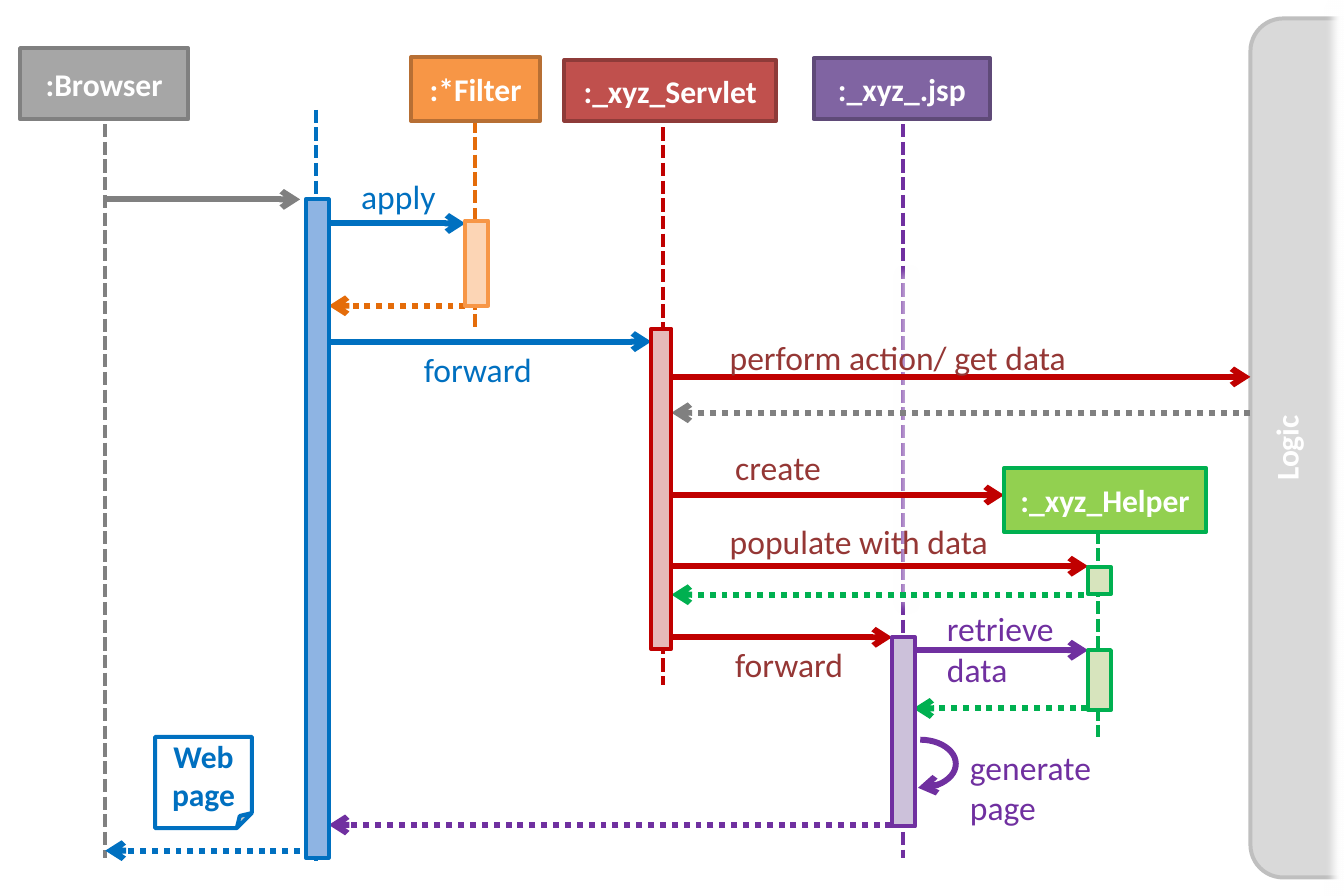
"""Build a sequence diagram slide of a web request passing through filter, servlet and JSP."""
import pptx
import pptx.util
import pptx.dml.color
import pptx.enum.dml
import pptx.enum.shapes
import pptx.enum.text
import pptx.oxml
import pptx.oxml.ns

Cm, Pt = pptx.util.Cm, pptx.util.Pt
RGB = pptx.dml.color.RGBColor.from_string
SHAPE = pptx.enum.shapes.MSO_SHAPE
DASH = pptx.enum.dml.MSO_LINE
ALIGN = pptx.enum.text.PP_ALIGN
ANCHOR = pptx.enum.text.MSO_ANCHOR
qn = pptx.oxml.ns.qn
NS = pptx.oxml.ns.nsdecls("a")

C = {
    "white": "FFFFFF", "grey": "808080", "silver": "A6A6A6", "logic": "D9D9D9", "logic_edge": "BFBFBF",
    "blue": "0070C0", "blue_bar": "8EB4E3",
    "orange": "E46C0A", "orange_head": "F79646", "orange_edge": "B76F34", "orange_bar": "FCD5B5",
    "red": "C00000", "red_head": "C0504D", "red_edge": "8E3B39", "red_bar": "E6B9B8", "red_text": "953735",
    "purple": "7030A0", "purple_head": "8064A2", "purple_edge": "5F4A78", "purple_bar": "CCC1DA",
    "green": "00B050", "green_head": "92D050", "green_bar": "D7E4BD",
}

prs = pptx.Presentation()
prs.slide_width, prs.slide_height = Cm(24), Cm(16)
s = prs.slides.add_slide(prs.slide_layouts[6])


def add_box(kind, box, fill=None, edge=None, width=2):
    sp = s.shapes.add_shape(kind, *map(Cm, box))
    sp.shadow.inherit = False
    if fill:
        sp.fill.solid()
        sp.fill.fore_color.rgb = RGB(C[fill])
    else:
        sp.fill.background()
    if edge:
        sp.line.color.rgb = RGB(C[edge])
        sp.line.width = Pt(width)
    else:
        sp.line.fill.background()
    return sp


def write(sp, text, color, size=16, bold=True, align=ALIGN.CENTER, anchor=ANCHOR.MIDDLE, wrap=True):
    tf = sp.text_frame
    tf.word_wrap, tf.vertical_anchor = wrap, anchor
    p = tf.paragraphs[0]
    p.alignment = align
    r = p.add_run()
    r.text = text
    r.font.color.rgb = RGB(C[color])
    for name, value in {"name": "Calibri", "size": Pt(size), "bold": bold}.items():
        setattr(r.font, name, value)


lifelines = [
    (16.13, 1.9, 15.32, "purple"), (1.88, 1.9, 15.32, "grey"), (5.64, 1.96, 15.37, "blue"),
    (8.48, 2.13, 5.89, "orange"), (11.84, 1.96, 12.24, "red"), (19.61, 9.47, 13.16, "green"),
]
messages = [
    (3.56, 1.88, 5.36, "grey"), (3.99, 5.59, 8.31, "blue"), (6.1, 5.59, 11.63, "blue"),
    (6.73, 11.84, 22.33, "red"), (8.84, 11.84, 17.93, "red"), (10.11, 11.84, 19.43, "red"),
    (11.38, 11.84, 15.93, "red"), (11.61, 16.13, 19.43, "purple"),
    (5.46, 8.31, 5.87, "orange"), (7.37, 22.33, 11.99, "grey"), (10.62, 19.35, 11.99, "green"),
    (12.65, 19.63, 16.31, "green"), (14.73, 16.13, 5.87, "purple"), (15.19, 5.36, 1.88, "blue"),
]
heads = [
    (":Browser", (0.36, 0.86, 3, 1.27), "silver", "grey"),
    (":_xyz_.jsp", (14.53, 1.04, 3.15, 1.09), "purple_head", "purple_edge"),
    (":_xyz_Helper", (17.93, 8.36, 3.61, 1.14), "green_head", "green"),
    (":_xyz_Servlet", (10.08, 1.07, 3.78, 1.09), "red_head", "red_edge"),
    (":*Filter", (7.34, 1.02, 2.31, 1.14), "orange_head", "orange_edge"),
]
bars = [
    ((5.46, 3.56, 0.41, 11.76), "blue_bar", "blue"),
    ((8.31, 3.94, 0.41, 1.52), "orange_bar", "orange_head"),
    ((11.63, 5.87, 0.36, 5.72), "red_bar", "red"),
    ((15.93, 11.38, 0.41, 3.38), "purple_bar", "purple"),
    ((19.43, 10.13, 0.41, 0.48), "green_bar", "green"),
    ((19.43, 11.61, 0.41, 1.07), "green_bar", "green"),
]
labels = [
    ("apply", (6.2, 3.02, 2.03, 1), "blue"),
    ("forward", (7.32, 6.1, 2.51, 1), "blue"),
    ("perform action/ get data", (12.78, 5.89, 8.74, 1), "red_text"),
    ("create", (12.88, 7.85, 2.51, 1), "red_text"),
    ("populate with data", (12.78, 9.17, 5.16, 1), "red_text"),
    ("forward", (12.88, 11.38, 2.51, 1), "red_text"),
    ("retrieve data", (16.66, 10.74, 2.79, 1.7), "purple"),
    ("generate page", (17.07, 13.21, 2.79, 1.7), "purple"),
]

lines = [(x, top, x, bottom, color, 2.25, DASH.SQUARE_DOT, False) for x, top, bottom, color in lifelines]
lines += [(x1, y, x2, y, color, 3, DASH.ROUND_DOT if x2 < x1 else None, True) for y, x1, x2, color in messages]
connectors = []
for x1, y1, x2, y2, color, width, dash, arrow in lines:
    cx = s.shapes.add_connector(pptx.enum.shapes.MSO_CONNECTOR.STRAIGHT, Cm(x1), Cm(y1), Cm(x2), Cm(y2))
    cx.line.color.rgb = RGB(C[color])
    cx.line.width = Pt(width)
    if dash:
        ln = cx.line._get_or_add_ln()
        preset = "sysDot" if arrow else "sysDash"
        ln.append(pptx.oxml.parse_xml(f'<a:prstDash {NS} val="{preset}"/>'))
    if arrow:
        cx.line._get_or_add_ln().append(pptx.oxml.parse_xml(f'<a:tailEnd {NS} type="arrow"/>'))
    cx._element.spPr.append(pptx.oxml.parse_xml(f"<a:effectLst {NS}/>"))
    connectors.append(cx)

veil = add_box(SHAPE.ROUNDED_RECTANGLE, (15.93, 4.7, 0.5, 6.27), "white")
veil.fill._xPr.find(".//" + qn("a:srgbClr")).append(pptx.oxml.parse_xml(f'<a:alpha {NS} val="76000"/>'))
connectors[0]._element.addnext(veil._element)

logic = add_box(SHAPE.ROUNDED_RECTANGLE, (22.33, 0.33, 2.54, 15.34), "logic", "logic_edge")
logic.adjustments[0] = 0.23
write(logic, "Logic", "white", anchor=ANCHOR.TOP)
logic.text_frame._txBody.bodyPr.set("vert", "vert270")
fade = add_box(SHAPE.RECTANGLE, (23.6, -0.1, 1.7, 16.3), "white")
for sp in (veil, fade):
    effects = sp._element.spPr.find(qn("a:effectLst"))
    effects.append(pptx.oxml.parse_xml(f'<a:softEdge {NS} rad="63500"/>'))
for sp in (logic, fade):
    connectors[len(lifelines)]._element.addprevious(sp._element)

for text, box, fill, edge in heads:
    write(add_box(SHAPE.RECTANGLE, box, fill, edge), text, "white", wrap=False)
note = add_box(SHAPE.FOLDED_CORNER, (2.77, 13.16, 1.73, 1.63), "white", "blue")
write(note, "Web page", "blue")

for box, fill, edge in bars:
    add_box(SHAPE.RECTANGLE, box, fill, edge)

loop = add_box(SHAPE.ARC, (15.8, 13.21, 1.27, 0.86), None, "purple", 3)
loop.adjustments[0], loop.adjustments[1] = 162, 57.21
loop.line._get_or_add_ln().append(pptx.oxml.parse_xml(f'<a:tailEnd {NS} type="arrow"/>'))

for text, box, color in labels:
    label = s.shapes.add_textbox(*map(Cm, box))
    write(label, text, color, size=17, bold=False, align=ALIGN.LEFT, anchor=ANCHOR.TOP)

prs.save("out.pptx")
